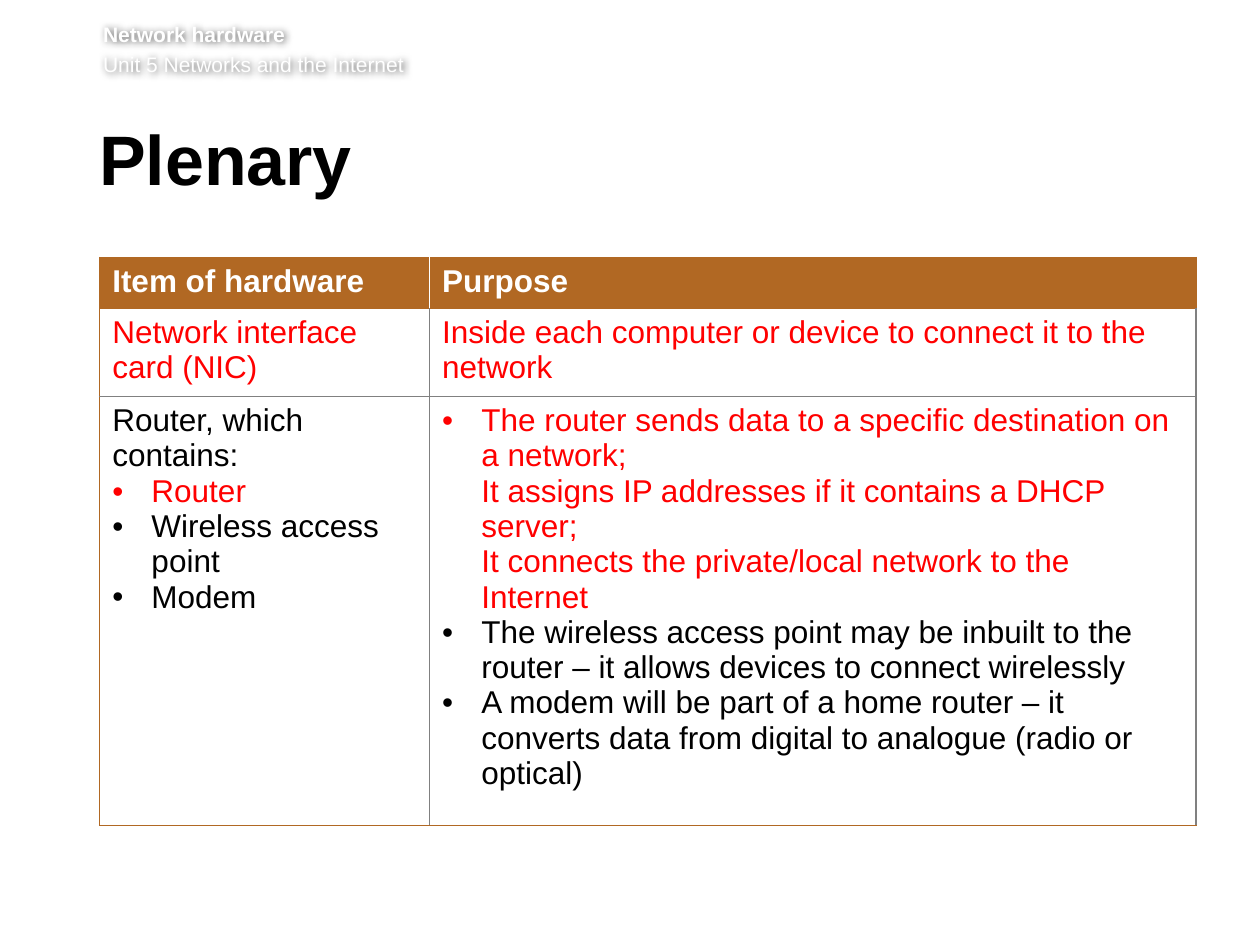
import pptx
import pptx.dml.color
import pptx.oxml
import pptx.oxml.ns
import pptx.util
from pptx.util import Cm

BROWN, GREY, WHITE, BLACK, RED = "B16823", "808080", "FFFFFF", "000000", "FF0000"
NS = pptx.oxml.ns.nsdecls("a")
INDENT = Cm(0.79)

HEADINGS = ["Item of hardware", "Purpose"]
# Each paragraph: text, colour, bulleted
BODY = [
    [
        [("Network interface card (NIC)", RED, False)],
        [("Inside each computer or device to connect it to the network", RED, False)],
    ],
    [
        [
            ("Router, which contains:", BLACK, False),
            ("Router", RED, True),
            ("Wireless access point", BLACK, True),
            ("Modem", BLACK, True),
        ],
        [
            ("The router sends data to a specific destination on a network;\n"
             "It assigns IP addresses if it contains a DHCP server;\n"
             "It connects the private/local network to the Internet", RED, True),
            ("The wireless access point may be inbuilt to the router – "
             "it allows devices to connect wirelessly", BLACK, True),
            ("A modem will be part of a home router – it converts data "
             "from digital to analogue (radio or optical)", BLACK, True),
        ],
    ],
]


def rgb(value):
    return pptx.dml.color.RGBColor.from_string(value)


def add_shadow(sp):
    """Put a soft dark shadow behind the letters of an unfilled box."""
    sp._element.spPr.append(pptx.oxml.parse_xml(
        f'<a:effectLst {NS}><a:outerShdw blurRad="50800" dist="12700" dir="2700000" '
        'algn="tl" rotWithShape="0"><a:srgbClr val="000000"><a:alpha val="60000"/>'
        '</a:srgbClr></a:outerShdw></a:effectLst>'))


def add_bullet(p):
    pPr = p._p.get_or_add_pPr()
    pPr.set("marL", str(INDENT))
    pPr.set("indent", str(-INDENT))
    pPr.append(pptx.oxml.parse_xml(f'<a:buFont {NS} typeface="Arial"/>'))
    pPr.append(pptx.oxml.parse_xml(f'<a:buChar {NS} char="•"/>'))


def write(tf, text, size=18, color=BLACK, bold=False, bullet=False,
          before=None, line=None):
    """Fill the empty first paragraph of a frame, or add a new one."""
    p = tf.paragraphs[0]
    if p.runs:
        p = tf.add_paragraph()
        if before:
            p.space_before = pptx.util.Pt(before)
    if line:
        p.line_spacing = pptx.util.Pt(line)
    if bullet:
        add_bullet(p)
    for i, part in enumerate(text.split("\n")):
        if i:
            p.add_line_break()
        r = p.add_run()
        r.text = part
        r.font.name = "Arial"
        r.font.size = pptx.util.Pt(size)
        r.font.bold = bold
        r.font.color.rgb = rgb(color)


def add_box(s, left, top, width, height, inset_top):
    sp = s.shapes.add_textbox(Cm(left), Cm(top), Cm(width), Cm(height))
    tf = sp.text_frame
    tf.word_wrap = True
    tf.margin_left = tf.margin_right = 0
    tf.margin_top = Cm(inset_top)
    tf.margin_bottom = Cm(0.13)
    return sp


def style_cell(cell, left, right, top, bottom, fill=None):
    """Set the four border colours and the fill of a cell."""
    tcPr = cell._tc.get_or_add_tcPr()
    for side, color in zip("LRTB", (left, right, top, bottom)):
        tcPr.append(pptx.oxml.parse_xml(
            f'<a:ln{side} {NS} w="9525"><a:solidFill><a:srgbClr val="{color}"/>'
            f'</a:solidFill></a:ln{side}>'))
    if fill:
        cell.fill.solid()
        cell.fill.fore_color.rgb = rgb(fill)
    else:
        cell.fill.background()


def add_hardware_table(s):
    widths, row_height = [6.65, 15.45], 1.03
    row_count = 1 + len(BODY)
    table = s.shapes.add_table(row_count, len(widths), Cm(2.01), Cm(5.19),
                               Cm(sum(widths)), Cm(row_count * row_height)).table
    table.horz_banding = False
    for column, width in zip(table.columns, widths):
        column.width = Cm(width)
    for row in table.rows:
        row.height = Cm(row_height)

    for c, heading in enumerate(HEADINGS):
        cell = table.cell(0, c)
        style_cell(cell, WHITE if c else BROWN, BROWN if c else WHITE,
                   BROWN, BROWN, fill=BROWN)
        write(cell.text_frame, heading, color=WHITE, bold=True)

    for r, row in enumerate(BODY, start=1):
        for c, paragraphs in enumerate(row):
            cell = table.cell(r, c)
            style_cell(cell, GREY if c else BROWN, GREY,
                       BROWN if r == 1 else GREY,
                       BROWN if r == len(BODY) else GREY)
            for text, color, bullet in paragraphs:
                write(cell.text_frame, text, color=color, bullet=bullet)


def main():
    prs = pptx.Presentation()
    prs.slide_width, prs.slide_height = Cm(25.4), Cm(19.05)
    s = prs.slides.add_slide(prs.slide_layouts[6])

    header = add_box(s, 2.08, 0.43, 22.4, 1.24, inset_top=0)
    add_shadow(header)
    write(header.text_frame, "Network hardware", size=12, color=WHITE, bold=True)
    write(header.text_frame, "Unit 5 Networks and the Internet", size=12,
          color=WHITE, before=2.9)

    title = add_box(s, 2, 2.51, 21.72, 1.85, inset_top=0.13)
    write(title.text_frame, "Plenary", size=40, bold=True, line=39)

    add_hardware_table(s)
    prs.save("out.pptx")


if __name__ == "__main__":
    main()
